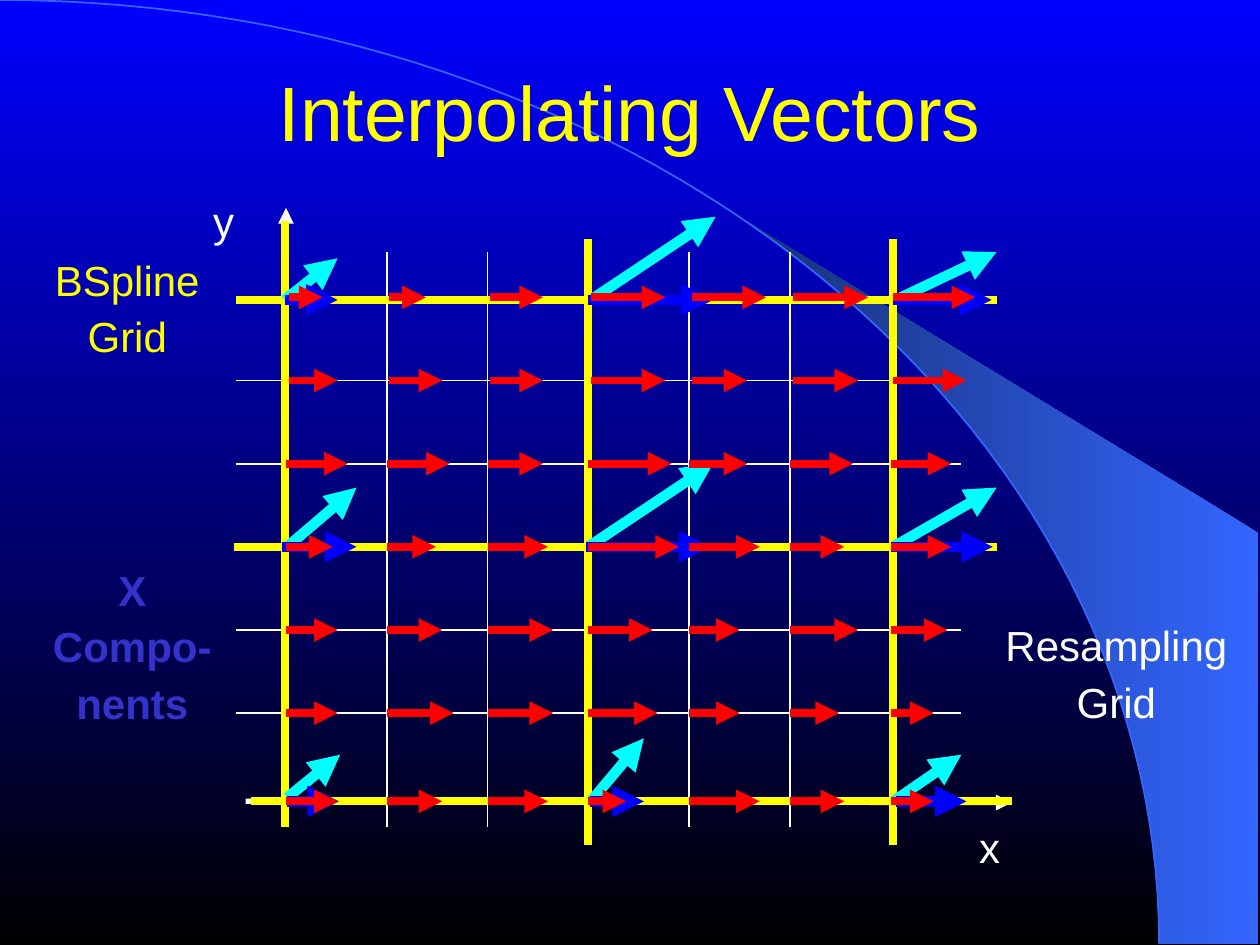
from math import acos, cos, sin
from lxml.etree import SubElement
from pptx import Presentation
from pptx.dml.color import RGBColor
from pptx.enum.shapes import MSO_CONNECTOR as Link
from pptx.enum.text import MSO_ANCHOR as Anchor, MSO_AUTO_SIZE as Fit, PP_ALIGN as Align
from pptx.oxml.ns import qn
from pptx.util import Inches, Pt

WHITE, YELLOW, CYAN = "FFFFFF", "FFFF00", "00FFFF"
BLUE, RED, SKY = "0000FF", "FF0000", "3366FF"
LEFT, TOP, COL, ROW = 2.27, 2.36, 0.8, 0.66
WIDE, HIGH = 9.2, 7.49

VECTORS = [
    (4.67, 4.34, 5.66, 3.68), (7.09, 4.34, 7.91, 3.87), (4.69, 2.38, 5.68, 1.72),
    (4.69, 6.36, 5.11, 5.86), (7.09, 6.36, 7.63, 5.99), (7.11, 2.38, 7.91, 2),
    (2.28, 4.34, 2.83, 3.87), (2.28, 6.33, 2.7, 5.99), (2.26, 2.38, 2.68, 2.05),
]
PARTS = {
    2.38: [(2.26, 2.68), (4.67, 5.66), (7.09, 7.87)],
    4.34: [(2.24, 2.83), (4.65, 5.64), (7.07, 7.88)],
    6.36: [(2.28, 2.69), (4.68, 5.11), (7.11, 7.67)],
}
TIPS = {
    2.36: [2.56, 3.38, 4.31, 5.28, 6.08, 6.89, 7.74],
    3.02: [2.68, 3.51, 4.31, 5.28, 5.93, 6.81, 7.67],
    3.68: [2.76, 3.57, 4.31, 5.33, 5.93, 6.77, 7.55],
    4.34: [2.64, 3.46, 4.35, 5.39, 6.03, 6.7, 7.55],
    5: [2.68, 3.51, 4.39, 5.18, 5.87, 6.81, 7.52],
    5.66: [2.68, 3.6, 4.39, 5.22, 5.87, 6.66, 7.41],
    6.36: [2.68, 3.51, 4.35, 4.97, 6.03, 6.7, 7.41],
}


def rgb(code):
    return RGBColor.from_string(code)


def blend(fill, first, last, angle):
    fill.gradient()
    fill.gradient_angle = angle
    for stop, code, place in zip(fill.gradient_stops, (first, last), (0, 1)):
        stop.color.rgb = rgb(code)
        stop.position = place


def line(slide, x1, y1, x2, y2, color, width, arrow=False):
    item = slide.shapes.add_connector(
        Link.STRAIGHT, Inches(x1), Inches(y1), Inches(x2), Inches(y2))
    item.line.color.rgb = rgb(color)
    item.line.width = Pt(width)
    if arrow:
        SubElement(item.line._get_or_add_ln(), qn("a:tailEnd"), type="triangle")
    SubElement(item._element.spPr, qn("a:effectLst"))


def curve(end, steps):
    turns = [end * n / steps for n in range(steps + 1)]
    return [(WIDE * cos(t), HIGH * (1 - sin(t))) for t in turns]


def outline(slide, points, close):
    spots = [(Inches(x), Inches(y)) for x, y in points]
    form = slide.shapes.build_freeform(*spots[0])
    form.add_line_segments(spots[1:], close=close)
    item = form.convert_to_shape()
    item.shadow.inherit = False
    return item


def backdrop(slide):
    blend(slide.background.fill, BLUE, "000000", 270)
    edge = curve(acos(5.89 / WIDE), 24)
    wedge = outline(slide, edge + [(9.99, 4.23), (9.99, HIGH)], True)
    blend(wedge.fill, SKY, "172F75", 180)
    wedge.line.fill.background()
    arc = outline(slide, curve(acos(0), 60), False)
    arc.fill.background()
    arc.line.color.rgb = rgb(SKY)
    arc.line.width = Pt(1)


def style(para, size, color, bold=False):
    para.alignment = Align.CENTER
    para.font.name = "Arial"
    para.font.size = Pt(size)
    para.font.bold = bold
    para.font.color.rgb = rgb(color)


def label(slide, words, x, y, w, h, color, space=0.6, bold=False):
    frame = slide.shapes.add_textbox(
        Inches(x), Inches(y), Inches(w), Inches(h)).text_frame
    frame.word_wrap = True
    frame.auto_size = Fit.SHAPE_TO_FIT_TEXT
    frame.text = "\n".join(words)
    for n, para in enumerate(frame.paragraphs):
        para.line_spacing = space
        para.space_before = Pt(15 if n else 0)
        style(para, 24, color, bold)


def heading(slide, words):
    title = slide.shapes.title
    title.left, title.top = Inches(0.75), Inches(0.12)
    title.width, title.height = Inches(8.5), Inches(1.51)
    frame = title.text_frame
    frame.text = words
    frame.auto_size = Fit.NONE
    frame.vertical_anchor = Anchor.MIDDLE
    frame.margin_left = frame.margin_right = 0
    frame.margin_top = frame.margin_bottom = 0
    style(frame.paragraphs[0], 44, YELLOW)


def grids(slide):
    line(slide, 2.26, 6.55, 2.27, 1.65, WHITE, 3, True)
    line(slide, 1.95, 6.36, 8.03, 6.37, WHITE, 3, True)
    for n in range(6):
        y = TOP + n * ROW
        x = LEFT + (n + 1) * COL
        line(slide, 1.87, y, 7.63, y, WHITE, 1)
        line(slide, x, 2, x, 6.56, WHITE, 1)
    for x, y in (2.26, 1.75), (4.67, 1.9), (7.09, 1.9):
        line(slide, x, y, x, y + 4.81, YELLOW, 4.5)
    for x, y, end in (1.99, 6.36, 8.03), (1.86, 4.34, 7.91), (1.87, 2.38, 7.91):
        line(slide, x, y, end, y, YELLOW, 4.5)


def arrows(slide):
    for ends in VECTORS:
        line(slide, *ends, CYAN, 6, True)
    for y, spans in PARTS.items():
        for start, tip in spans:
            line(slide, start, y, tip, y, BLUE, 6, True)
    for y, tips in TIPS.items():
        shift = 0.02 if y < 3.5 else 0
        for n, tip in enumerate(tips):
            line(slide, LEFT + n * COL + shift, y, tip, y, RED, 4.5, True)


def main():
    deck = Presentation()
    deck.slide_width, deck.slide_height = Inches(10), Inches(7.5)
    slide = deck.slides.add_slide(deck.slide_layouts[5])
    backdrop(slide)
    heading(slide, "Interpolating Vectors")
    tree = slide.shapes._spTree
    tree.append(slide.shapes.title._element)
    grids(slide)
    arrows(slide)
    label(slide, ["y"], 1.59, 1.58, 0.37, 0.42, WHITE, 0.8)
    label(slide, ["x"], 7.67, 6.55, 0.37, 0.42, WHITE, 0.8)
    label(slide, ["BSpline", "Grid"], 0.24, 2.11, 1.54, 0.79, YELLOW)
    label(slide, ["Resampling", "Grid"], 7.87, 5.01, 1.98, 0.79, WHITE)
    label(slide, ["X", "Compo-", "nents"], 0.06, 4.57, 1.98, 1.24, "3333CC", bold=True)
    deck.save("out.pptx")


if __name__ == "__main__":
    main()
